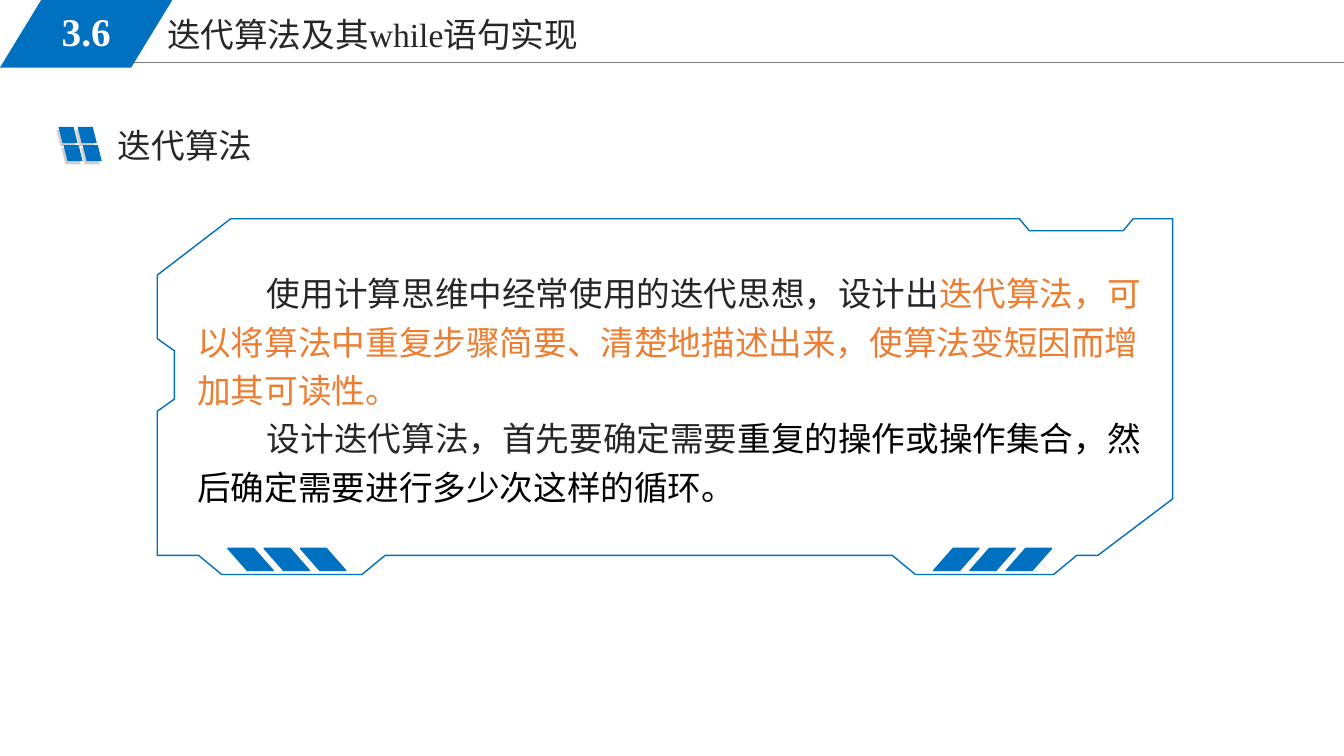
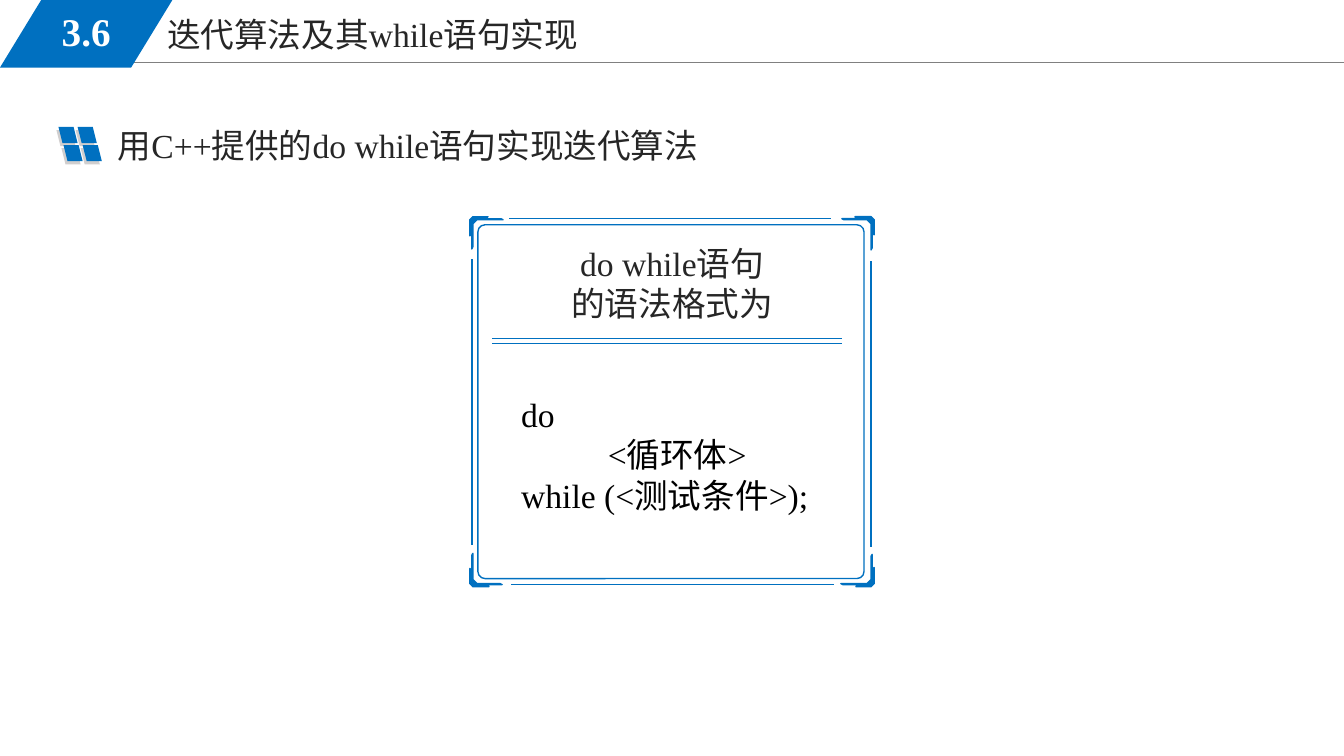
"""Two lesson slides on iteration algorithms and the do while statement."""
from lxml import etree
from pptx import Presentation
from pptx.dml.color import RGBColor
from pptx.enum.shapes import MSO_CONNECTOR, MSO_SHAPE
from pptx.enum.text import MSO_ANCHOR, PP_ALIGN
from pptx.oxml.ns import qn
from pptx.util import Inches, Pt

BLUE = RGBColor(0x00, 0x70, 0xC0)
GREY = RGBColor(0x80, 0x80, 0x80)
SHADE = RGBColor(0xD0, 0xCE, 0xCE)
DARK = RGBColor(0x26, 0x26, 0x26)
ORANGE = RGBColor(0xED, 0x7D, 0x31)
BLACK = RGBColor(0, 0, 0)
WHITE = RGBColor(0xFF, 0xFF, 0xFF)
SERIF = "Times New Roman"
SANS = "Noto Sans CJK SC"
LEFT, CENTER = PP_ALIGN.LEFT, PP_ALIGN.CENTER
PARALLELOGRAM = MSO_SHAPE.PARALLELOGRAM
ROUNDED = MSO_SHAPE.ROUNDED_RECTANGLE
STRAIGHT = MSO_CONNECTOR.STRAIGHT
MIDDLE = MSO_ANCHOR.MIDDLE


def add_text(slide, box, paragraphs, font=SERIF, size=24, align=LEFT, spacing=1.0):
    """Each paragraph is a first-line indent followed by (text, colour) runs."""
    frame = slide.shapes.add_textbox(*map(Inches, box)).text_frame
    frame.word_wrap = True
    for number, (indent, *runs) in enumerate(paragraphs):
        paragraph = frame.paragraphs[0] if number == 0 else frame.add_paragraph()
        paragraph.alignment = align
        paragraph.line_spacing = spacing
        if indent:
            paragraph._p.get_or_add_pPr().set("indent", str(Inches(indent)))
        for text, colour in runs:
            run = paragraph.add_run()
            run.text = text
            run.font.name = font
            run.font.size = Pt(size)
            run.font.color.rgb = colour
            east_asian = etree.SubElement(run._r.get_or_add_rPr(), qn("a:ea"))
            east_asian.set("typeface", SANS)
    return frame


def paint(shape, fill=None, line=None, flip=False):
    """Set fill and outline, and mirror the shape if asked."""
    shape.shadow.inherit = False
    if fill is None:
        shape.fill.background()
    else:
        shape.fill.solid()
        shape.fill.fore_color.rgb = fill
    if line is None:
        shape.line.fill.background()
    else:
        shape.line.color.rgb = line
        shape.line.width = Pt(1)
    if flip:
        shape._element.spPr.xfrm.set("flipH", "1")


prs = Presentation()
prs.slide_width, prs.slide_height = Inches(13.33), Inches(7.5)

header_rule = (1.13, 0.62, 13.33, 0.62, GREY, 0.75)
card_rules = [
    (5.05, 2.17, 8.24, 2.17, BLUE, 1),
    (5.07, 5.8, 8.27, 5.8, BLUE, 1),
    (4.68, 2.57, 4.68, 5.41, BLUE, 1),
    (8.64, 2.59, 8.64, 5.43, BLUE, 1),
    (4.88, 3.36, 8.35, 3.36, BLUE, 1),
    (4.88, 3.41, 8.35, 3.41, BLUE, 1),
]
pages = [
    ("迭代算法", 1.65, [header_rule]),
    ("用C++提供的do while语句实现迭代算法", 5.99, [header_rule] + card_rules),
]

for heading, heading_width, rules in pages:
    slide = prs.slides.add_slide(prs.slide_layouts[6])
    for x1, y1, x2, y2, colour, width in rules:
        rule = slide.shapes.add_connector(STRAIGHT, *map(Inches, (x1, y1, x2, y2)))
        rule.line.color.rgb = colour
        rule.line.width = Pt(width)
        etree.SubElement(rule._element.spPr, qn("a:effectLst"))

    add_text(slide, (1.56, 0.09, 5.67, 0.51), [(0, ("迭代算法及其while语句实现", DARK))])
    band = slide.shapes.add_shape(PARALLELOGRAM, 0, 0, Inches(1.71), Inches(0.67))
    band.adjustments[0] = 0.61
    paint(band, BLUE)
    section = add_text(slide, (0.25, 0.02, 1.21, 0.58), [(0, ("3.6", WHITE))],
                       size=28, align=CENTER)
    section.vertical_anchor = MIDDLE
    section.paragraphs[0].runs[0].font.bold = True

    for colour, left, top in ((SHADE, 0.56, 1.29), (BLUE, 0.58, 1.26)):
        for row in range(2):
            for column in range(2):
                pane = slide.shapes.add_shape(
                    PARALLELOGRAM,
                    Inches(left + 0.05 * row + 0.19 * column),
                    Inches(top + 0.18 * row), Inches(0.19), Inches(0.16))
                paint(pane, colour, flip=True)
    add_text(slide, (1.07, 1.19, heading_width, 0.5), [(0, (heading, DARK))])

idea_slide, syntax_slide = prs.slides

add_text(idea_slide, (1.86, 2.58, 9.67, 2.52), [
    (0.69, ("使用计算思维中经常使用的迭代思想，设计出", DARK),
     ("迭代算法，可以将算法中重复步骤简要、清楚地描述出来，使算法变短因而增加其可读性。", ORANGE)),
    (0.69, ("设计迭代算法，首先要确定需要", DARK),
     ("重复的操作或操作集合，然后确定需要进行多少次这样的循环。", BLACK)),
], font=SANS, spacing=1.2)

panel_outline = [
    (9.08, 5.7), (10.45, 5.7), (10.68, 5.51), (10.89, 5.51), (11.63, 4.95),
    (11.63, 2.17), (11.24, 2.17), (11.14, 2.29), (10.21, 2.29), (10.11, 2.17),
    (2.29, 2.17), (1.56, 2.73), (1.56, 3.36), (1.73, 3.48), (1.73, 3.96),
    (1.56, 4.08), (1.56, 5.51), (1.97, 5.51), (2.2, 5.7), (3.59, 5.7),
    (3.82, 5.51), (8.85, 5.51),
]
bracket = [
    (0.03, 0), (0.18, 0), (0.16, 0.02), (0.31, 0.02), (0.33, 0.03),
    (0.07, 0.03), (0.03, 0.07), (0.03, 0.3), (0.02, 0.32), (0.02, 0.17),
    (0, 0.19), (0, 0.03),
]
card_left, card_top, card_right, card_bottom = 4.66, 2.15, 8.67, 5.82
outlines = [
    (idea_slide, panel_outline, None),
    (syntax_slide, [(card_right - u, card_bottom - v) for u, v in bracket], BLUE),
    (syntax_slide, [(card_right - v, card_top + u) for u, v in bracket], BLUE),
    (syntax_slide, [(card_left + u, card_top + v) for u, v in bracket], BLUE),
    (syntax_slide, [(card_left + v, card_bottom - u) for u, v in bracket], BLUE),
]
for slide, points, fill in outlines:
    corners = [(Inches(x), Inches(y)) for x, y in points]
    builder = slide.shapes.build_freeform(*corners[0])
    builder.add_line_segments(corners[1:], close=True)
    paint(builder.convert_to_shape(), fill, BLUE)

for left, flip in ((2.26, True), (9.26, False)):
    for step in range(3):
        stripe = idea_slide.shapes.add_shape(
            PARALLELOGRAM, Inches(left + 0.36 * step), Inches(5.44),
            Inches(0.45), Inches(0.22))
        stripe.adjustments[0] = 0.88
        paint(stripe, BLUE, BLUE, flip)

card = syntax_slide.shapes.add_shape(
    ROUNDED, Inches(4.74), Inches(2.23), Inches(3.83), Inches(3.51))
card.adjustments[0] = 0.02
paint(card, line=BLUE)
add_text(syntax_slide, (5.41, 2.36, 2.51, 0.91), [
    (0, ("do while语句", DARK)),
    (0, ("的语法格式为", DARK)),
], align=CENTER)
add_text(syntax_slide, (5.07, 3.86, 3.28, 1.31), [
    (0, ("do", BLACK)),
    (0.86, ("<循环体>", BLACK)),
    (0, ("while (<测试条件>);", BLACK)),
])

prs.save("out.pptx")
